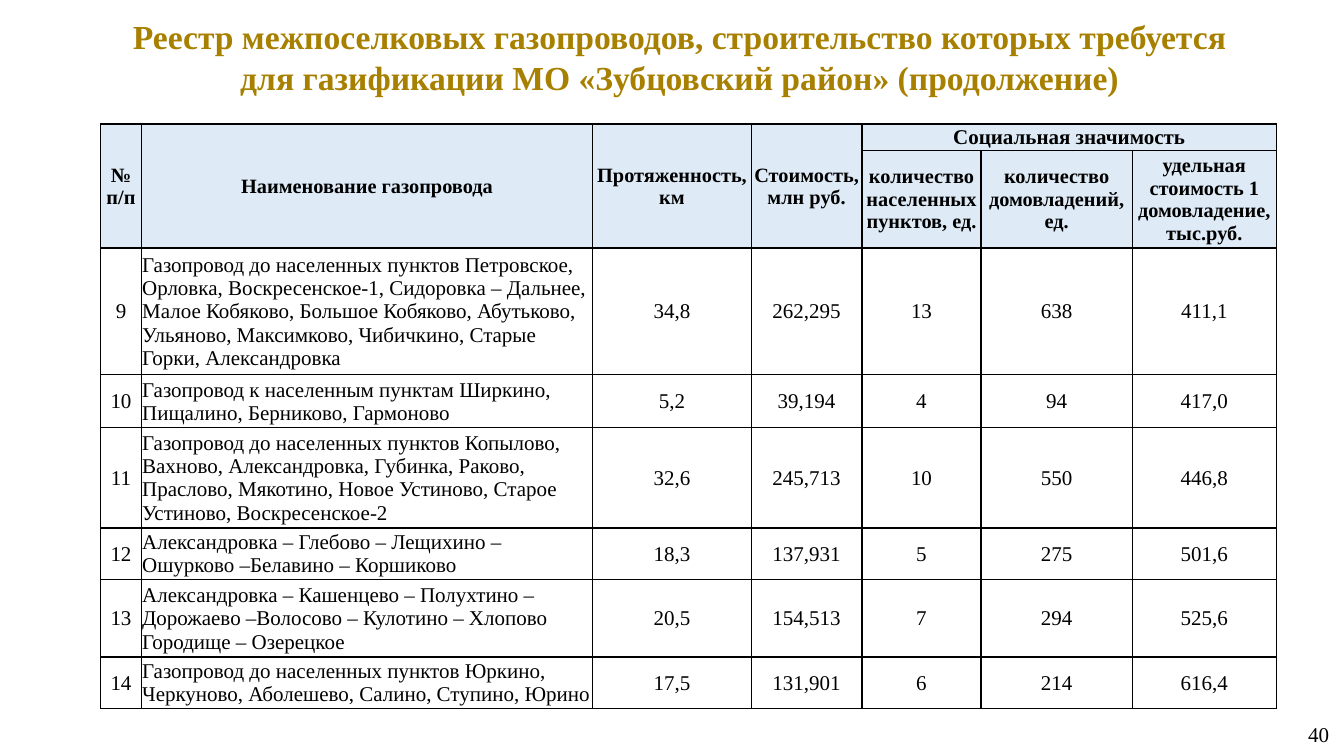
from dataclasses import astuple, dataclass

from lxml.etree import SubElement
from pptx import Presentation
from pptx.dml.color import RGBColor
from pptx.enum.text import MSO_ANCHOR, PP_ALIGN
from pptx.oxml.ns import qn
from pptx.table import Table, _Cell
from pptx.text.text import TextFrame
from pptx.util import Inches, Pt

GOLD = RGBColor(0xA8, 0x80, 0x00)
BLACK = RGBColor(0x00, 0x00, 0x00)
BLUE = RGBColor(0xDE, 0xEB, 0xF7)
FONT = "Times New Roman"

COLS = [0.4, 4.48, 1.57, 1.1, 1.18, 1.5, 1.43]
ROWS = [0.26, 0.97, 1.26, 0.52, 1.0, 0.51, 0.77, 0.51]


@dataclass
class Head:
    text: str
    row: int
    col: int
    tall: int = 1
    wide: int = 1
    size: float = 14.5


@dataclass
class Pipe:
    num: str
    name: str
    length: str
    cost: str
    towns: str
    homes: str
    rate: str


HEADS = [
    Head("№\vп/п", 0, 0, tall=2),
    Head("Наименование газопровода", 0, 1, tall=2),
    Head("Протяженность, км", 0, 2, tall=2),
    Head("Стоимость, млн руб.", 0, 3, tall=2),
    Head("Социальная значимость", 0, 4, wide=3, size=15),
    Head("количество населенных пунктов, ед.", 1, 4),
    Head("количество\nдомовладений, ед.", 1, 5),
    Head("удельная стоимость 1 домовладение, тыс.руб.", 1, 6),
]

PIPES = [
    Pipe("9", "Газопровод до населенных пунктов Петровское, Орловка, "
         "Воскресенское-1, Сидоровка – Дальнее, Малое Кобяково, "
         "Большое Кобяково, Абутьково, Ульяново, Максимково, Чибичкино, "
         "Старые Горки, Александровка",
         "34,8", "262,295", "13", "638", "411,1"),
    Pipe("10", "Газопровод к населенным пунктам Ширкино, Пищалино, "
         "Берниково, Гармоново",
         "5,2", "39,194", "4", "94", "417,0"),
    Pipe("11", "Газопровод до населенных пунктов Копылово, Вахново, "
         "Александровка, Губинка, Раково, Праслово, Мякотино, "
         "Новое Устиново, Старое Устиново, Воскресенское-2",
         "32,6", "245,713", "10", "550", "446,8"),
    Pipe("12", "Александровка – Глебово – Лещихино – Ошурково –Белавино – "
         "Коршиково",
         "18,3", "137,931", "5", "275", "501,6"),
    Pipe("13", "Александровка – Кашенцево – Полухтино – Дорожаево –Волосово – "
         "Кулотино – Хлопово Городище – Озерецкое",
         "20,5", "154,513", "7", "294", "525,6"),
    Pipe("14", "Газопровод до населенных пунктов Юркино, Черкуново, "
         "Аболешево, Салино, Ступино, Юрино",
         "17,5", "131,901", "6", "214", "616,4"),
]


def write(frame: TextFrame, text: str, *, size: float = 15,
          color: RGBColor = BLACK, bold: bool = False,
          align: PP_ALIGN = PP_ALIGN.CENTER) -> None:
    frame.text = text
    frame.word_wrap = True
    for line in frame.paragraphs:
        line.alignment = align
        for font in [line.font] + [run.font for run in line.runs]:
            font.name = FONT
            font.size = Pt(size)
            font.bold = bold
            font.color.rgb = color


def frame_cell(cell: _Cell) -> None:
    cell.vertical_anchor = MSO_ANCHOR.MIDDLE
    cell.margin_left = cell.margin_right = cell.margin_top = Inches(0.01)
    cell.margin_bottom = 0
    props = cell._tc.get_or_add_tcPr()
    for side in ("a:lnL", "a:lnR", "a:lnT", "a:lnB"):
        edge = SubElement(props, qn(side), w=str(Pt(1)))
        fill = SubElement(edge, qn("a:solidFill"))
        SubElement(fill, qn("a:srgbClr"), val=str(BLACK))


def draw_head(grid: Table, head: Head) -> None:
    cell = grid.cell(head.row, head.col)
    if head.tall > 1 or head.wide > 1:
        cell.merge(grid.cell(head.row + head.tall - 1,
                             head.col + head.wide - 1))
    write(cell.text_frame, head.text, size=head.size, bold=True)


def draw_pipe(grid: Table, row: int, pipe: Pipe) -> None:
    for col, text in enumerate(astuple(pipe)):
        align = PP_ALIGN.LEFT if col == 1 else PP_ALIGN.CENTER
        write(grid.cell(row, col).text_frame, text, align=align)


def draw_grid(slide) -> None:
    grid = slide.shapes.add_table(
        len(ROWS), len(COLS), Inches(1), Inches(1.23),
        Inches(sum(COLS)), Inches(sum(ROWS))).table
    grid.first_row = False
    grid.horz_banding = False
    for col, width in zip(grid.columns, COLS):
        col.width = Inches(width)
    for num, (row, height) in enumerate(zip(grid.rows, ROWS)):
        row.height = Inches(height)
        for cell in row.cells:
            frame_cell(cell)
            write(cell.text_frame, "")
            if num < 2:
                cell.fill.solid()
                cell.fill.fore_color.rgb = BLUE
            else:
                cell.fill.background()
    for head in HEADS:
        draw_head(grid, head)
    for row, pipe in enumerate(PIPES, 2):
        draw_pipe(grid, row, pipe)


def main() -> None:
    deck = Presentation()
    deck.slide_width, deck.slide_height = Inches(13.33), Inches(7.5)
    slide = deck.slides.add_slide(deck.slide_layouts[5])

    title = slide.shapes.title
    title.left, title.top = Inches(0.86), Inches(0.11)
    title.width, title.height = Inches(11.76), Inches(0.91)
    title.text_frame.vertical_anchor = MSO_ANCHOR.TOP
    write(title.text_frame,
          "Реестр межпоселковых газопроводов, строительство которых требуется\n"
          "для газификации МО «Зубцовский район» (продолжение)",
          size=24, color=GOLD, bold=True)

    draw_grid(slide)

    page = slide.shapes.add_textbox(
        Inches(10.57), Inches(6.98), Inches(2.71), Inches(0.61))
    page.text_frame.vertical_anchor = MSO_ANCHOR.MIDDLE
    write(page.text_frame, "40", align=PP_ALIGN.RIGHT)

    deck.save("out.pptx")


if __name__ == "__main__":
    main()
